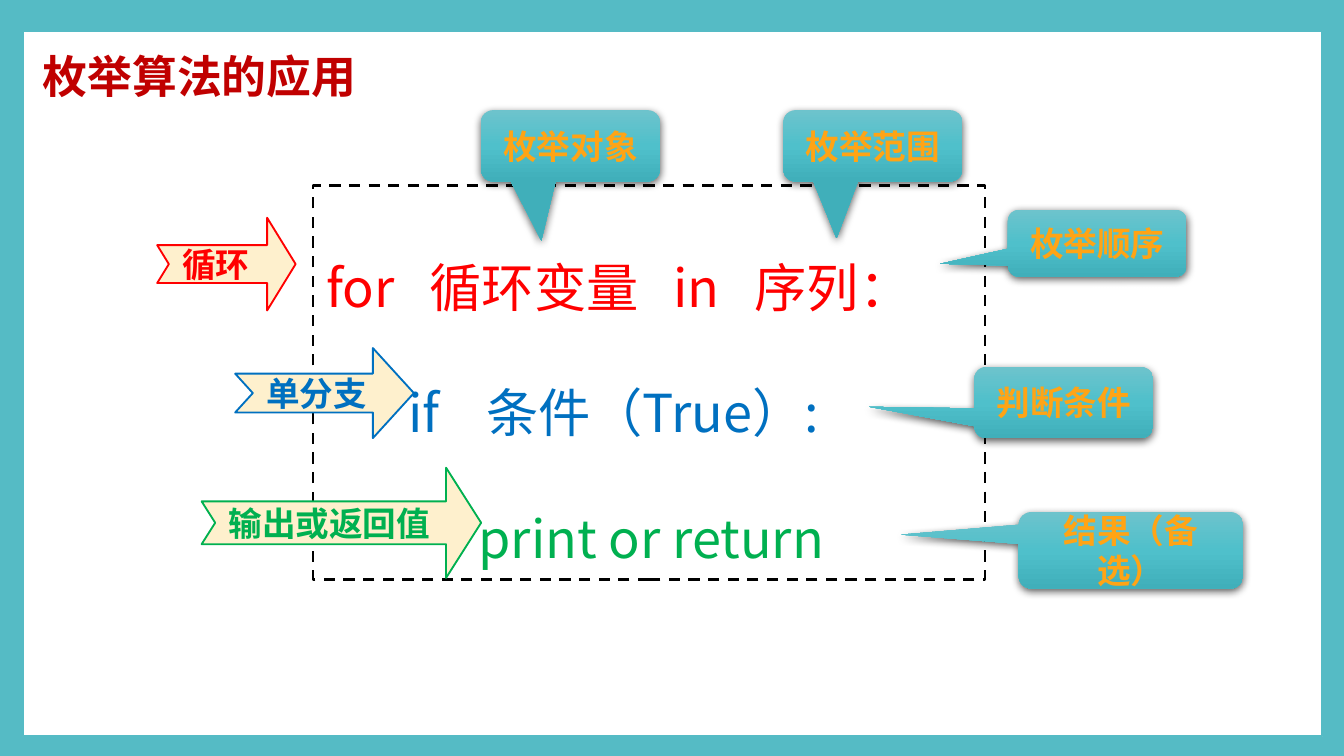
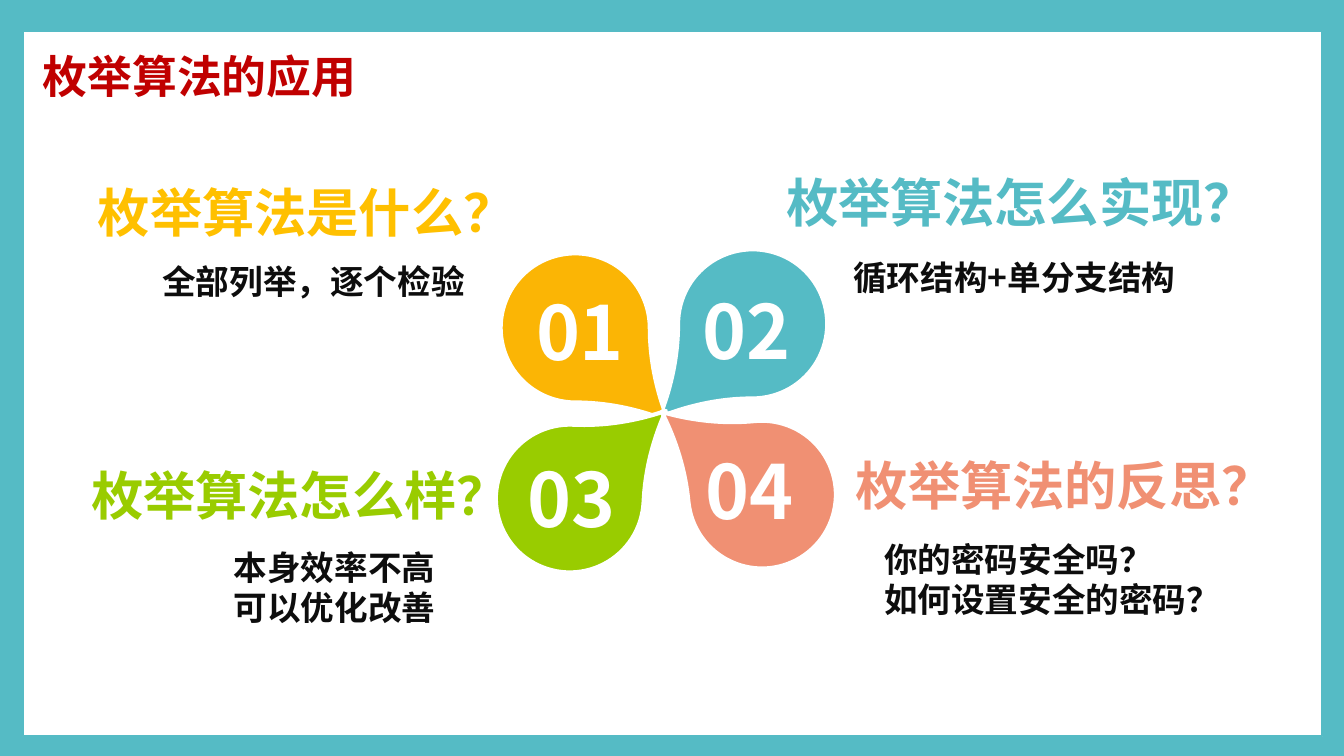
from lxml import etree
from pptx import Presentation, util as u
from pptx.dml.color import RGBColor
from pptx.enum import dml, shapes, text
from pptx.oxml import parse_xml
from pptx.oxml.ns import nsdecls, qn

PX = 9144
SLIDE_WIDTH, SLIDE_HEIGHT = u.Inches(10), u.Emu(5143500)
SC, JP = "Noto Sans CJK SC", "Noto Sans CJK JP"
WHITE = RGBColor(0xFF, 0xFF, 0xFF)
BLACK = RGBColor(0, 0, 0)
INK = RGBColor(0x0D, 0x0D, 0x0D)
TEAL = RGBColor(0x55, 0xBB, 0xC5)
CRIMSON = RGBColor(0xC0, 0, 0)
RED = RGBColor(0xFF, 0, 0)
BLUE = RGBColor(0, 0x70, 0xC0)
GREEN = RGBColor(0, 0xB0, 0x50)
CREAM = RGBColor(0xFE, 0xF0, 0xCD)
ORANGE = RGBColor(0xFF, 0xA4, 0x15)
AMBER = RGBColor(0xFB, 0xB5, 0x05)
GOLD = RGBColor(0xFF, 0xC0, 0)
LIME = RGBColor(0x99, 0xCC, 0)
SALMON = RGBColor(0xF0, 0x90, 0x73)
CALLOUT_STOPS = ((0, "6DC3CC"), (50, "4FC0CB"), (100, "40AFBA"))

KIND = shapes.MSO_SHAPE
LEFT, CENTER = text.PP_ALIGN.LEFT, text.PP_ALIGN.CENTER
TOP, MIDDLE = text.MSO_ANCHOR.TOP, text.MSO_ANCHOR.MIDDLE


def px(box):
    """Turn a box of whole px into EMU lengths."""
    return [u.Emu(length * PX) for length in box]


def write(holder, lines, size, bold=True, font=SC, align=LEFT, anchor=TOP, spacing=None):
    """Fill a shape with (words, colour) lines, one paragraph each."""
    frame = holder.text_frame
    frame.word_wrap = True
    frame.vertical_anchor = anchor
    for number, (words, colour) in enumerate(lines):
        paragraph = frame.add_paragraph() if number else frame.paragraphs[0]
        paragraph.text = words
        paragraph.alignment = align
        paragraph.line_spacing = spacing
        paragraph.font.size = u.Pt(size)
        paragraph.font.bold = bold
        paragraph.font.color.rgb = colour
        paragraph.font.name = font
        etree.SubElement(paragraph.font._rPr, qn("a:ea"), typeface=font)


def label(slide, box, words, size, colour, font=SC):
    """Add a bold text box, with one paragraph per line of words."""
    holder = slide.shapes.add_textbox(*px(box))
    write(holder, [(line, colour) for line in words.split("\n")], size, font=font)


def figure(slide, kind, box, fill=None, line=None, width=1, adjust=()):
    """Add a flat preset shape."""
    outline = slide.shapes.add_shape(kind, *px(box))
    outline.shadow.inherit = False
    for index, value in enumerate(adjust):
        outline.adjustments[index] = value
    if fill is None:
        outline.fill.background()
    else:
        outline.fill.solid()
        outline.fill.fore_color.rgb = fill
    if line is None:
        outline.line.fill.background()
    else:
        outline.line.color.rgb = line
        outline.line.width = u.Pt(width)
    return outline


def arrow(slide, box, words, colour, adjust):
    """Add a notched arrow that names a structure."""
    pointer = figure(slide, KIND.NOTCHED_RIGHT_ARROW, box, CREAM, colour, adjust=adjust)
    write(pointer, [(words, colour)], 18, anchor=MIDDLE)


def callout(slide, box, words, tip):
    """Add a shaded callout whose tail ends at tip."""
    bubble = figure(slide, KIND.ROUNDED_RECTANGULAR_CALLOUT, box, adjust=(*tip, 0.167))
    stops = "".join(
        f'<a:gs pos="{place * 1000}"><a:srgbClr val="{colour}"/></a:gs>'
        for place, colour in CALLOUT_STOPS
    )
    gradient = parse_xml(
        f'<a:gradFill {nsdecls("a")} rotWithShape="1"><a:gsLst>{stops}</a:gsLst>'
        '<a:lin ang="5400000" scaled="0"/></a:gradFill>'
    )
    shadow = parse_xml(
        f'<a:outerShdw {nsdecls("a")} blurRad="57150" dist="19050" dir="5400000" '
        'algn="ctr" rotWithShape="0"><a:srgbClr val="000000"><a:alpha val="63000"/>'
        "</a:srgbClr></a:outerShdw>"
    )
    properties = bubble._element.spPr
    properties.replace(properties.find(qn("a:noFill")), gradient)
    properties.find(qn("a:effectLst")).append(shadow)
    write(bubble, [(words, ORANGE)], 18, align=CENTER, anchor=MIDDLE)


def petal(slide, corner, turn, colour, width):
    """Add a teardrop of the flower."""
    leaf = figure(slide, KIND.TEAR, (*corner, 110, 110), colour, WHITE, width, (1.244,))
    leaf.rotation = turn


def framed_slide(deck):
    """Add a blank slide with the teal border and the title."""
    slide = deck.slides.add_slide(deck.slide_layouts[6])
    border = figure(slide, KIND.RECTANGLE, (0, 0, 1000, 562), TEAL)
    border.height = SLIDE_HEIGHT
    figure(slide, KIND.RECTANGLE, (17, 23, 967, 525), WHITE, TEAL)
    label(slide, (22, 31, 403, 50), "枚举算法的应用", 24, CRIMSON)
    return slide


def structure_slide(deck):
    """Show the code pattern with its arrows and callouts."""
    slide = framed_slide(deck)
    code = figure(slide, KIND.RECTANGLE, (233, 138, 500, 293), line=BLACK, width=1.5)
    code.line.dash_style = dml.MSO_LINE.DASH
    code_lines = [
        ("for   循环变量   in   序列：", RED),
        ("       if    条件（True）:", BLUE),
        ("             print or return", GREEN),
    ]
    write(code, code_lines, 28, bold=False, spacing=2.0)

    for structure in (
        ((117, 162, 103, 69), "循环", RED, (0.409, 0.307)),
        ((175, 259, 133, 67), "单分支", BLUE, (0.432, 0.455)),
        ((150, 348, 208, 82), "输出或返回值", GREEN, (0.389, 0.318)),
    ):
        arrow(slide, *structure)

    for remark in (
        ((358, 82, 133, 53), "枚举对象", (-0.163, 1.331)),
        ((583, 82, 133, 53), "枚举范围", (-0.203, 1.301)),
        ((750, 156, 133, 50), "枚举顺序", (-0.879, 0.307)),
        ((725, 273, 133, 53), "判断条件", (-1.089, 0.061)),
        ((758, 381, 167, 57), "结果（备选）", (-1.025, -0.204)),
    ):
        callout(slide, *remark)


def summary_slide(deck):
    """Show the four questions around the flower."""
    slide = framed_slide(deck)
    for leaf in (
        ((373, 189), 90, AMBER, 1.5),
        ((505, 186), 180, TEAL, 1.5),
        ((369, 316), 2.6, LIME, 2.25),
        ((512, 313), 264.5, SALMON, 2.25),
    ):
        petal(slide, *leaf)

    number_corners = ((389, 208), (513, 207), (383, 332), (515, 326))
    for number, corner in enumerate(number_corners, 1):
        label(slide, (*corner, 90, 77), f"{number:02}", 40, WHITE)

    for question, question_box, colour, answer, answer_box in (
        ("枚举算法是什么？", (63, 129, 312, 57), GOLD,
         "全部列举，逐个检验", (111, 189, 251, 40)),
        ("枚举算法怎么实现？", (575, 122, 375, 57), TEAL,
         "循环结构+单分支结构", (625, 186, 351, 40)),
        ("枚举算法怎么样？", (58, 340, 299, 57), LIME,
         "本身效率不高\n可以优化改善", (164, 402, 351, 71)),
        ("枚举算法的反思？", (627, 332, 325, 57), SALMON,
         "你的密码安全吗？\n如何设置安全的密码？", (648, 396, 351, 71)),
    ):
        label(slide, answer_box, answer, 18, INK, JP)
        label(slide, question_box, question, 28, colour)


def main():
    """Build and save the deck."""
    deck = Presentation()
    deck.slide_width, deck.slide_height = SLIDE_WIDTH, SLIDE_HEIGHT
    structure_slide(deck)
    summary_slide(deck)
    deck.save("out.pptx")


if __name__ == "__main__":
    main()
